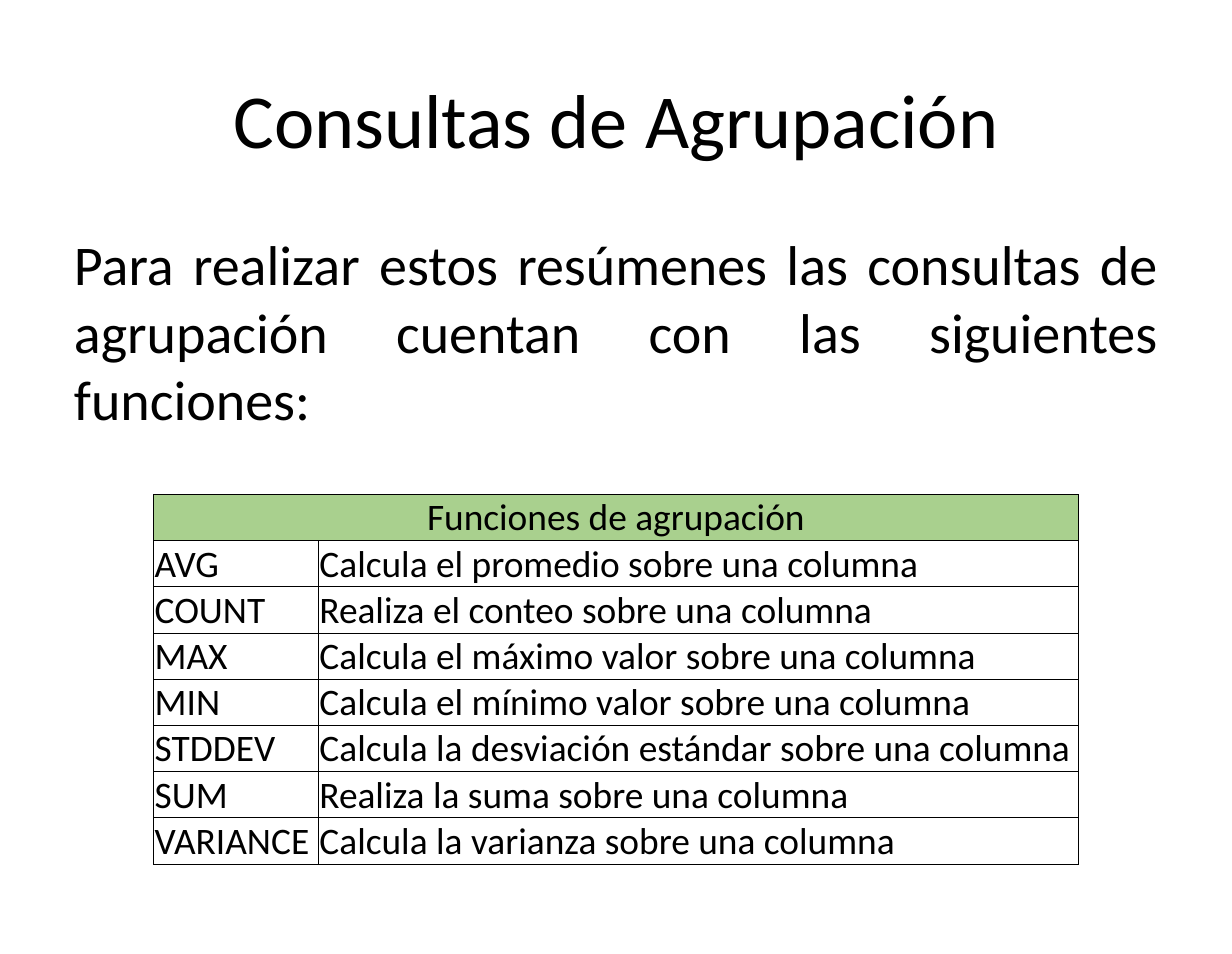
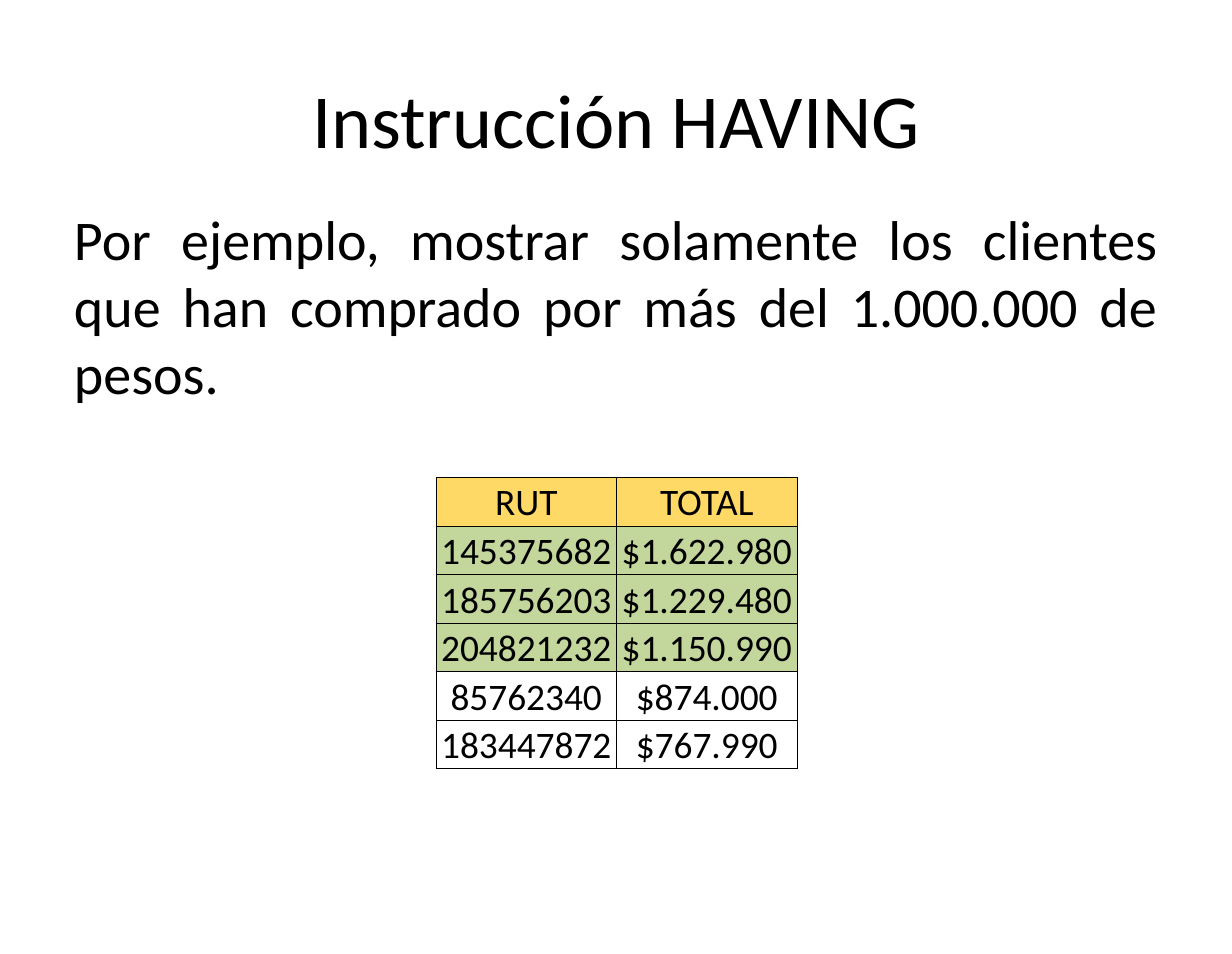
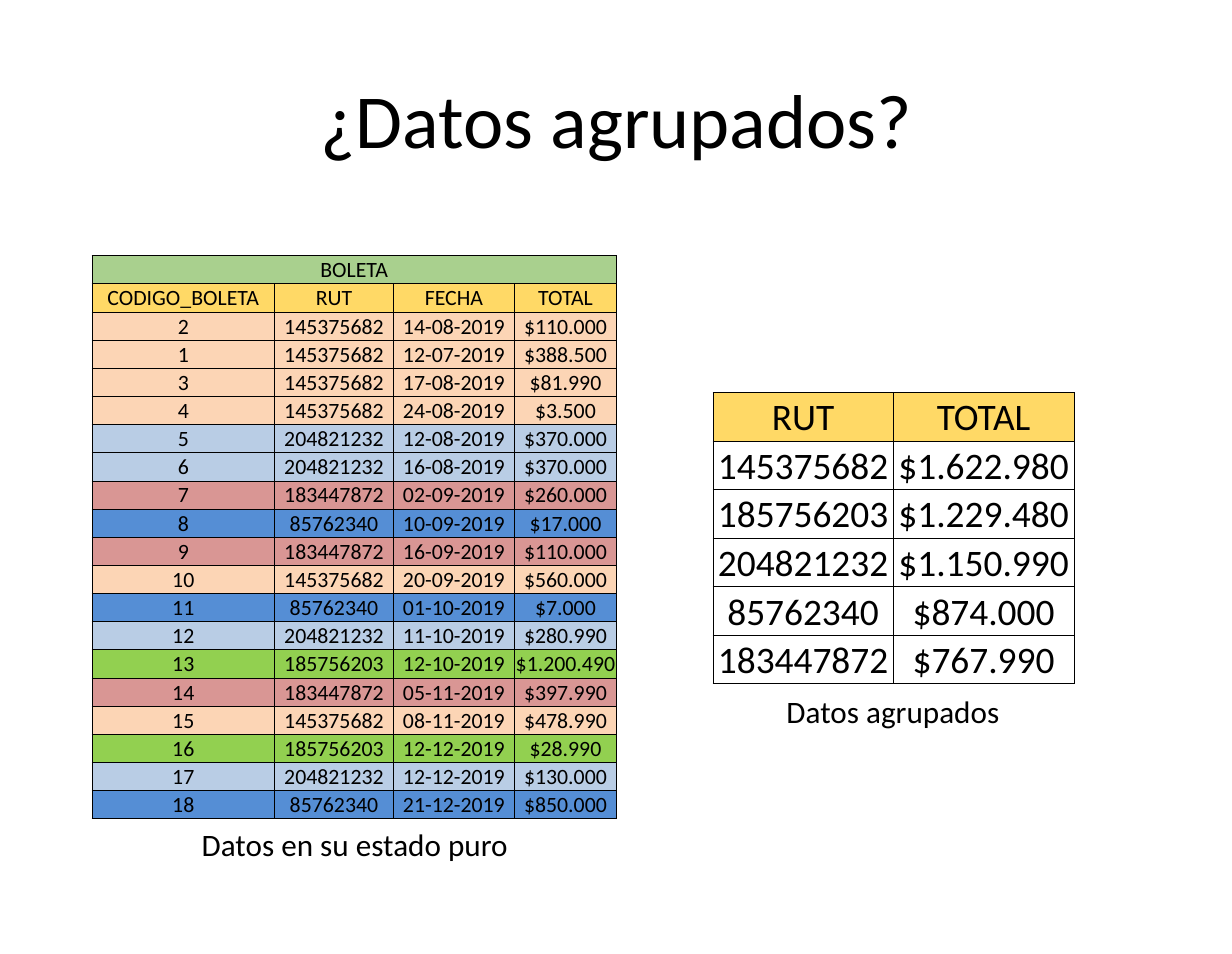
from dataclasses import dataclass
from typing import Optional

from lxml.etree import SubElement
from pptx import Presentation
from pptx.dml.color import RGBColor
from pptx.enum.text import MSO_ANCHOR as Anchor, PP_ALIGN as Align
from pptx.oxml.ns import qn
from pptx.slide import Slide
from pptx.text.text import TextFrame
from pptx.util import Emu, Pt

EMU_PER_PX = 9144
SLIDE_WIDTH, SLIDE_HEIGHT = 1099, 851
FONT = "Calibri"
BLACK = "000000"
HEADING_GREEN = "A9D08E"
HEADER_YELLOW = "FFD966"
SELECTED_GREEN = "C3D69B"
BORDER_POINTS = 0.5
CLIENT_FILLS = {
    "145375682": "FCD5B5",
    "204821232": "B9CDE5",
    "183447872": "D99694",
    "85762340": "558ED5",
    "185756203": "92D050",
}

FUNCTIONS = [
    ("AVG", "Calcula el promedio sobre una columna"),
    ("COUNT", "Realiza el conteo sobre una columna"),
    ("MAX", "Calcula el máximo valor sobre una columna"),
    ("MIN", "Calcula el mínimo valor sobre una columna"),
    ("STDDEV", "Calcula la desviación estándar sobre una columna"),
    ("SUM", "Realiza la suma sobre una columna"),
    ("VARIANCE", "Calcula la varianza sobre una columna"),
]

CLIENT_TOTALS = [
    ("145375682", "$1.622.980"),
    ("185756203", "$1.229.480"),
    ("204821232", "$1.150.990"),
    ("85762340", "$874.000"),
    ("183447872", "$767.990"),
]

RECEIPTS = [
    ("2", "145375682", "14-08-2019", "$110.000"),
    ("1", "145375682", "12-07-2019", "$388.500"),
    ("3", "145375682", "17-08-2019", "$81.990"),
    ("4", "145375682", "24-08-2019", "$3.500"),
    ("5", "204821232", "12-08-2019", "$370.000"),
    ("6", "204821232", "16-08-2019", "$370.000"),
    ("7", "183447872", "02-09-2019", "$260.000"),
    ("8", "85762340", "10-09-2019", "$17.000"),
    ("9", "183447872", "16-09-2019", "$110.000"),
    ("10", "145375682", "20-09-2019", "$560.000"),
    ("11", "85762340", "01-10-2019", "$7.000"),
    ("12", "204821232", "11-10-2019", "$280.990"),
    ("13", "185756203", "12-10-2019", "$1.200.490"),
    ("14", "183447872", "05-11-2019", "$397.990"),
    ("15", "145375682", "08-11-2019", "$478.990"),
    ("16", "185756203", "12-12-2019", "$28.990"),
    ("17", "204821232", "12-12-2019", "$130.000"),
    ("18", "85762340", "21-12-2019", "$850.000"),
]


@dataclass(frozen=True)
class Box:
    left: int
    top: int
    width: int
    height: int


@dataclass(frozen=True)
class TextStyle:
    size: int
    align: Align = Align.LEFT
    anchor: Anchor = Anchor.TOP
    margins: tuple[int, int, int, int] = (10, 5, 10, 5)


@dataclass(frozen=True)
class Row:
    values: tuple[str, ...]
    fill: Optional[str] = None
    align: Align = Align.CENTER


@dataclass(frozen=True)
class Grid:
    left: int
    top: int
    height: int
    columns: tuple[int, ...]
    rows: list[Row]
    size: int = 24
    anchor: Anchor = Anchor.BOTTOM


TITLE_BOX = Box(55, 34, 989, 142)
TITLE_STYLE = TextStyle(49, Align.CENTER, Anchor.MIDDLE, (11, 6, 11, 6))
BODY_STYLE = TextStyle(36, Align.JUSTIFY, Anchor.TOP, (11, 6, 11, 6))
TOTALS_COLUMNS = (161, 161)
TOTALS_HEIGHT = 260


def px(length: int) -> Emu:
    return Emu(length * EMU_PER_PX)


def color(value: str) -> RGBColor:
    return RGBColor.from_string(value)


def write_text(text_frame: TextFrame, text: str, size: int, align: Align) -> None:
    text_frame.text = text
    paragraph = text_frame.paragraphs[0]
    paragraph.alignment = align
    for run in paragraph.runs:
        run.font.name = FONT
        run.font.size = Pt(size)
        run.font.bold = False
        run.font.color.rgb = color(BLACK)


def add_text(slide: Slide, box: Box, text: str, style: TextStyle) -> None:
    shape = slide.shapes.add_textbox(px(box.left), px(box.top), px(box.width), px(box.height))
    text_frame = shape.text_frame
    text_frame.word_wrap = True
    text_frame.vertical_anchor = style.anchor
    left, top, right, bottom = style.margins
    text_frame.margin_left, text_frame.margin_right = px(left), px(right)
    text_frame.margin_top, text_frame.margin_bottom = px(top), px(bottom)
    write_text(text_frame, text, style.size, style.align)


def add_borders(cell) -> None:
    properties = cell._tc.get_or_add_tcPr()
    for side in ("a:lnL", "a:lnR", "a:lnT", "a:lnB"):
        line = SubElement(properties, qn(side), w=str(int(Pt(BORDER_POINTS))))
        fill = SubElement(line, qn("a:solidFill"))
        SubElement(fill, qn("a:srgbClr"), val=BLACK)


def format_cell(cell, fill: Optional[str], anchor: Anchor) -> None:
    cell.margin_left = cell.margin_right = cell.margin_top = px(1)
    cell.margin_bottom = px(0)
    cell.vertical_anchor = anchor
    add_borders(cell)
    if fill:
        cell.fill.solid()
        cell.fill.fore_color.rgb = color(fill)
    else:
        cell.fill.background()


def add_grid(slide: Slide, grid: Grid) -> None:
    column_count, row_count = len(grid.columns), len(grid.rows)
    table = slide.shapes.add_table(
        row_count, column_count, px(grid.left), px(grid.top),
        px(sum(grid.columns)), px(grid.height),
    ).table
    table.first_row = False
    table.horz_banding = False
    for column, width in zip(table.columns, grid.columns):
        column.width = px(width)
    for row_index, row in enumerate(grid.rows):
        table.rows[row_index].height = Emu(px(grid.height) // row_count)
        for column_index in range(column_count):
            format_cell(table.cell(row_index, column_index), row.fill, grid.anchor)
        if len(row.values) < column_count:
            table.cell(row_index, 0).merge(table.cell(row_index, column_count - 1))
        for column_index, value in enumerate(row.values):
            cell = table.cell(row_index, column_index)
            write_text(cell.text_frame, value, grid.size, row.align)


def add_totals(slide: Slide, left: int, top: int, selected_count: int = 0) -> None:
    rows = [Row(("RUT", "TOTAL"), HEADER_YELLOW)]
    for index, values in enumerate(CLIENT_TOTALS):
        rows.append(Row(values, SELECTED_GREEN if index < selected_count else None))
    add_grid(slide, Grid(left, top, TOTALS_HEIGHT, TOTALS_COLUMNS, rows))


def add_titled_slide(presentation, title: str) -> Slide:
    slide = presentation.slides.add_slide(presentation.slide_layouts[6])
    add_text(slide, TITLE_BOX, title, TITLE_STYLE)
    return slide


def build_functions_slide(presentation) -> None:
    slide = add_titled_slide(presentation, "Consultas de Agrupación")
    add_text(
        slide, Box(55, 199, 989, 562),
        "Para realizar estos resúmenes las consultas de agrupación cuentan con "
        "las siguientes funciones:",
        BODY_STYLE,
    )
    rows = [Row(("Funciones de agrupación",), HEADING_GREEN)]
    rows += [Row(values, align=Align.LEFT) for values in FUNCTIONS]
    add_grid(slide, Grid(137, 441, 330, (147, 678), rows))


def build_having_slide(presentation) -> None:
    slide = add_titled_slide(presentation, "Instrucción HAVING")
    add_text(
        slide, Box(55, 176, 989, 584),
        "Por ejemplo, mostrar solamente los clientes que han comprado por más "
        "del 1.000.000 de pesos.",
        BODY_STYLE,
    )
    add_totals(slide, 389, 426, selected_count=3)


def build_grouping_slide(presentation) -> None:
    slide = add_titled_slide(presentation, "¿Datos agrupados?")
    rows = [
        Row(("BOLETA",), HEADING_GREEN),
        Row(("CODIGO_BOLETA", "RUT", "FECHA", "TOTAL"), HEADER_YELLOW),
    ]
    rows += [Row(values, CLIENT_FILLS[values[1]]) for values in RECEIPTS]
    add_grid(slide, Grid(82, 228, 503, (163, 106, 108, 91), rows, 14, Anchor.MIDDLE))
    add_totals(slide, 636, 350)
    add_text(slide, Box(170, 731, 345, 44), "Datos en su estado puro", TextStyle(20))
    add_text(slide, Box(624, 613, 345, 44), "Datos agrupados", TextStyle(20, Align.CENTER))


def main() -> None:
    presentation = Presentation()
    presentation.slide_width = px(SLIDE_WIDTH)
    presentation.slide_height = px(SLIDE_HEIGHT)
    build_functions_slide(presentation)
    build_having_slide(presentation)
    build_grouping_slide(presentation)
    presentation.save("out.pptx")


if __name__ == "__main__":
    main()
